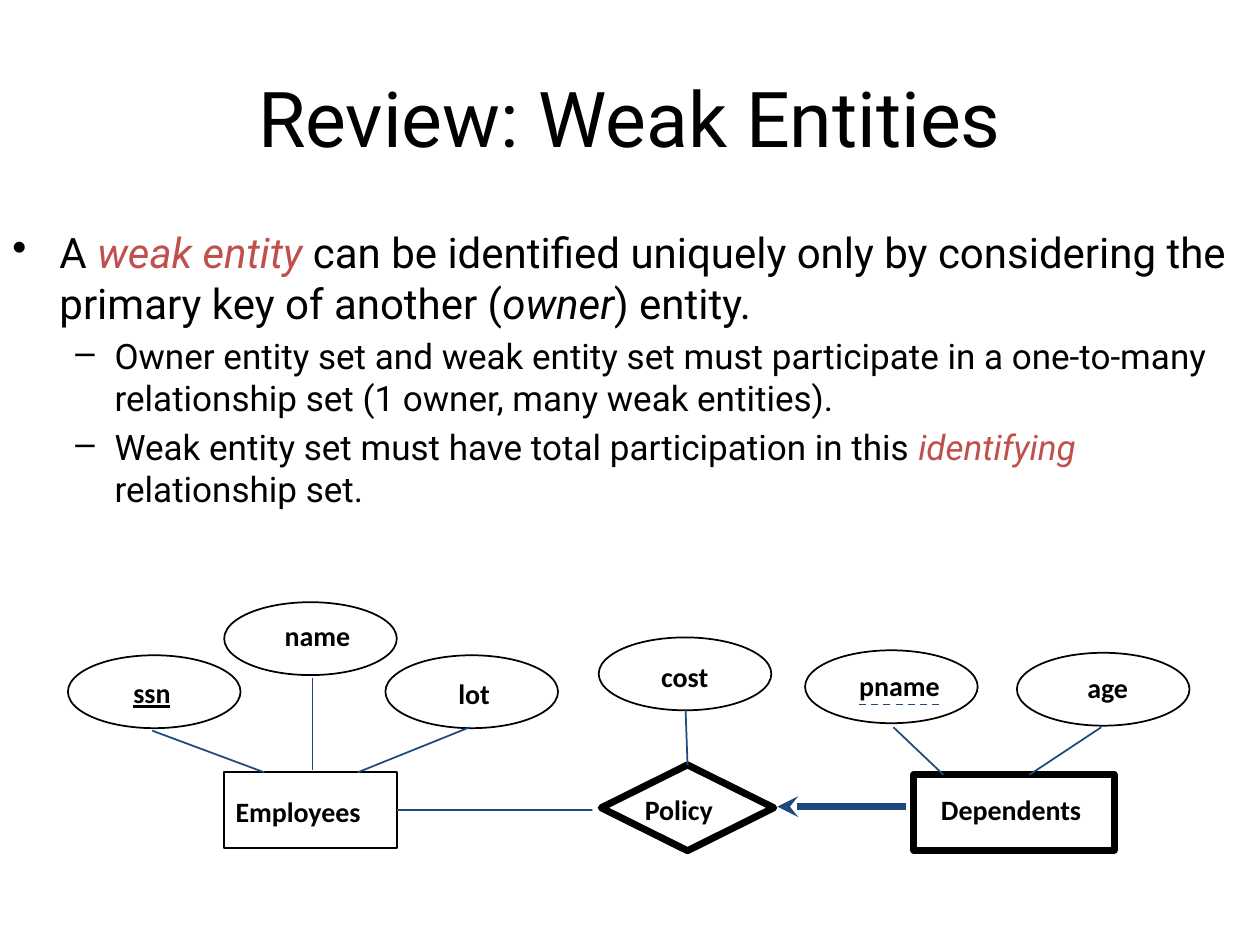
from lxml.etree import SubElement as Sub
from pptx import Presentation
from pptx.dml.color import RGBColor as Rgb
from pptx.enum.dml import MSO_LINE as Dash
from pptx.enum.shapes import MSO_CONNECTOR as Conn, MSO_SHAPE as Kind
from pptx.enum.text import MSO_ANCHOR as Anchor, MSO_AUTO_SIZE as Auto, PP_ALIGN as Align
from pptx.oxml.ns import qn
from pptx.util import Cm, Pt

HUES = {"ink": "000000", "red": "C0504D", "link": "1F497D"}

# Text: each point is level, then runs of (text, style)
TITLE = "Review: Weak Entities"
POINTS = [
    (0, [("A ", {}), ("weak entity ", {"hue": "red", "italic": True}),
         ("can be identified uniquely only by considering the primary key of another (", {}),
         ("owner", {"italic": True}), (") entity.", {})]),
    (1, [("Owner entity set and weak entity set must participate in a one-to-many "
          "relationship set (1 owner, many weak entities).", {})]),
    (1, [("Weak entity set must have total participation in this ", {}),
         ("identifying ", {"hue": "red", "italic": True}), ("relationship set.", {})]),
]
# Level: size, bullet, left margin, hanging indent in cm
LEVELS = [(24, "•", 0.95, 0.95), (20, "–", 2.06, 0.79)]

# Diagram, in cm: name, (left, top), label (left, top, width)
OVAL = (3.48, 1.47)
ATTRS = [
    ("pname", (16.23, 13.11), (17.07, 13.36, 2.31)),
    ("age", (20.5, 13.16), (21.67, 13.39, 1.47)),
    ("ssn", (1.37, 13.21), (2.44, 13.49, 1.47)),
    ("lot", (7.77, 13.21), (8.99, 13.51, 1.19)),
    ("cost", (12.07, 12.85), (13.08, 13.18, 1.65)),
    ("name", (4.52, 12.14), (5.49, 12.34, 1.98)),
]
# Name, kind, box, line width, label
SETS = [
    ("Dependents", Kind.RECTANGLE, (18.42, 15.62, 4.04, 1.52), 4, (18.72, 15.85, 3.73)),
    ("Employees", Kind.RECTANGLE, (4.52, 15.57, 3.48, 1.52), 1, (4.5, 15.9, 3.48)),
    ("Policy", Kind.DIAMOND, (12.12, 15.42, 3.48, 1.73), 4, (12.75, 15.85, 2.16)),
]
KEYS = {"ssn"}
LINKS = [
    (6.3, 13.67, 6.3, 15.52),
    (3.07, 14.73, 5.33, 15.57),
    (9.47, 14.66, 7.21, 15.57),
    (18.01, 14.66, 19.02, 15.62),
    (22.2, 14.66, 20.75, 15.62),
]
PARTIAL = (17.32, 14.2, 19.02, 14.2)
TOTAL = (15.67, 16.26, 18.26, 16.26)

deck = Presentation()
deck.slide_width, deck.slide_height = Cm(25.4), Cm(19.05)
slide = deck.slides.add_slide(deck.slide_layouts[6])


def color(name):
    return Rgb.from_string(HUES[name])


def write(par, text, size=16, font="Roboto", hue="ink", **style):
    run = par.add_run()
    run.text = text
    run.font.size, run.font.name = Pt(size), font
    run.font.color.rgb = color(hue)
    for key, val in style.items():
        setattr(run.font, key, val)


def frame(box, wrap=True):
    text = slide.shapes.add_textbox(*map(Cm, box)).text_frame
    text.word_wrap = wrap
    return text


def shape(kind, box, width):
    item = slide.shapes.add_shape(kind, *map(Cm, box))
    item.shadow.inherit = False
    item.fill.background()
    item.line.color.rgb = color("ink")
    item.line.width = Pt(width)
    return item


def label(name, spot):
    text = frame((*spot, 0.91), wrap=False)
    text.auto_size = Auto.SHAPE_TO_FIT_TEXT
    write(text.paragraphs[0], name, font="Calibri", bold=True, underline=name in KEYS)


def link(ends, width=1):
    line = slide.shapes.add_connector(Conn.STRAIGHT, *map(Cm, ends))
    line.line.color.rgb = color("link")
    line.line.width = Pt(width)
    Sub(line._element.spPr, qn("a:effectLst"))
    return line


# Title
head = frame((1.27, 0.76, 22.86, 3.18))
head.vertical_anchor = Anchor.MIDDLE
head.paragraphs[0].alignment = Align.CENTER
write(head.paragraphs[0], TITLE, size=44)

# Bulleted points
body = frame((0, 4.45, 25.2, 13.77))
for num, (level, runs) in enumerate(POINTS):
    par = body.add_paragraph() if num else body.paragraphs[0]
    size, mark, left, hang = LEVELS[level]
    par.level = level
    par.space_before = Pt(size * 0.2)
    props = par._p.get_or_add_pPr()
    props.set("marL", str(Cm(left)))
    props.set("indent", str(-Cm(hang)))
    Sub(props, qn("a:buChar"), char=mark)
    for text, style in runs:
        write(par, text, size=size, **style)

# Attributes, entity sets and relationship
nodes = {}
for name, spot, _ in ATTRS:
    nodes[name] = shape(Kind.OVAL, (*spot, *OVAL), 1)
for name, kind, box, width, _ in SETS:
    nodes[name] = shape(kind, box, width)
for name, *_, spot in ATTRS + SETS:
    label(name, spot)

# Links
for ends in LINKS:
    link(ends)
link(PARTIAL).line.dash_style = Dash.DASH

stem = link((13.82, 14.3, 13.86, 15.42))
stem.end_connect(nodes["Policy"], 0)

side = link((8, 16.33, 11.94, 16.33))
side.begin_connect(nodes["Employees"], 3)

arrow = link(TOTAL, 4)
Sub(arrow._element.spPr.find(qn("a:ln")), qn("a:headEnd"), type="stealth")

deck.save("out.pptx")
